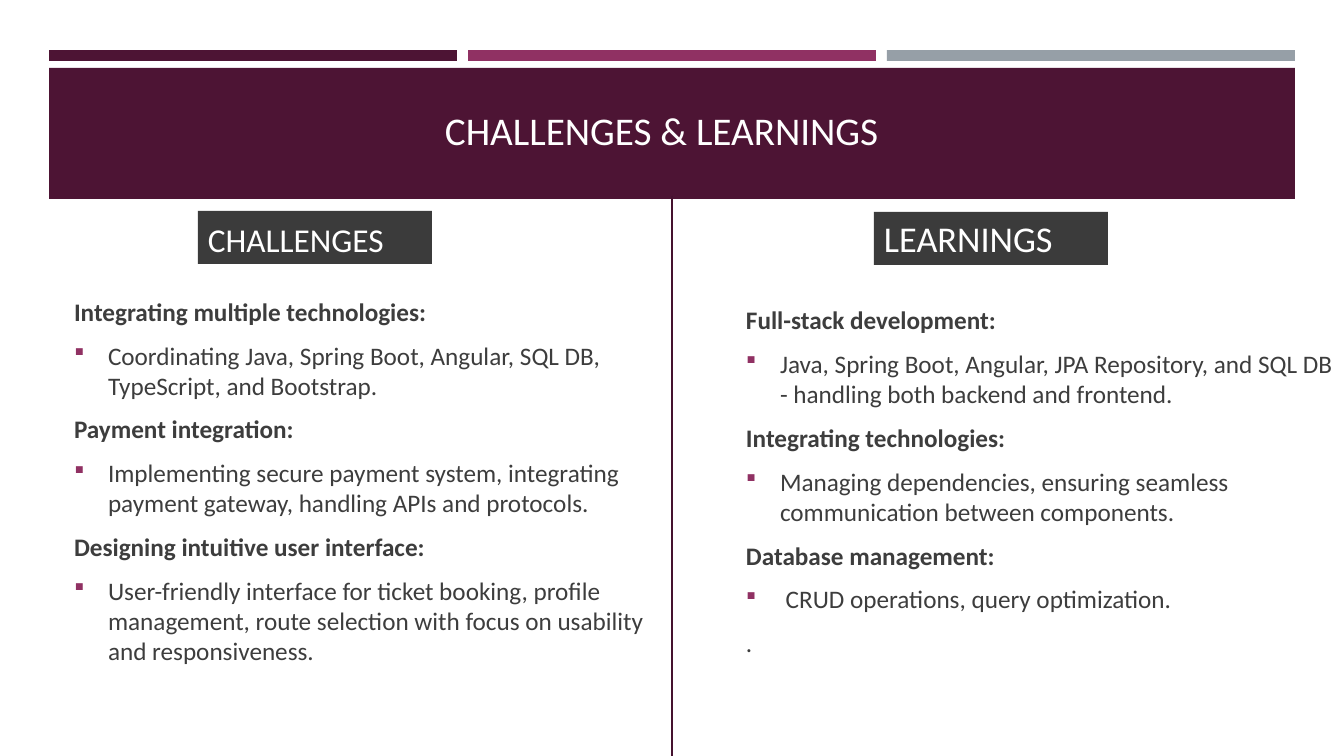
"""Build the Challenges & Learnings slide."""
from lxml import etree
from pptx import Presentation
from pptx.dml.color import RGBColor
from pptx.enum.shapes import MSO_CONNECTOR, MSO_SHAPE
from pptx.enum.text import MSO_ANCHOR, MSO_AUTO_SIZE, PP_ALIGN
from pptx.oxml.ns import qn
from pptx.util import Emu, Pt

RECTANGLE = MSO_SHAPE.RECTANGLE
STRAIGHT = MSO_CONNECTOR.STRAIGHT
MIDDLE, BOTTOM = MSO_ANCHOR.MIDDLE, MSO_ANCHOR.BOTTOM
LEFT = PP_ALIGN.LEFT
NO_AUTOFIT = MSO_AUTO_SIZE.NONE

TITLE = "CHALLENGES & LEARNINGS"
COLUMNS = [
    {
        "heading": "CHALLENGES", "heading_size": 23.8,
        "heading_box": (198, 211, 234, 53), "body_left": 64,
        "points": [
            ("Integrating multiple technologies:",
             "Coordinating Java, Spring Boot, Angular, SQL DB, TypeScript, and Bootstrap."),
            ("Payment integration:",
             "Implementing secure payment system, integrating payment gateway, "
             "handling APIs and protocols."),
            ("Designing intuitive user interface:",
             "User-friendly interface for ticket booking, profile management, "
             "route selection with focus on usability and responsiveness."),
        ],
        "closing": "",
    },
    {
        "heading": "LEARNINGS", "heading_size": 25.9,
        "heading_box": (874, 212, 234, 53), "body_left": 736,
        "points": [
            ("Full-stack development:",
             "Java, Spring Boot, Angular, JPA Repository, and SQL DB "
             "- handling both backend and frontend."),
            ("Integrating technologies:",
             "Managing dependencies, ensuring seamless communication between components."),
            ("Database management:", " CRUD operations, query optimization."),
        ],
        "closing": ".",
    },
]
COLORS = {"plum": "4D1434", "magenta": "903163", "gray": "969FA7", "divider": "45122F",
          "charcoal": "3B3B3B", "text": "3D3D3D", "white": "FFFFFF"}
FONT = "Calibri"

EMU_PER_PX = 914400 / 100.8
SLIDE_SIZE = (1344, 756)
BAR_COLORS = ["plum", "magenta", "gray"]
BAR_LEFT, BAR_TOP, BAR_WIDTH, BAR_HEIGHT, BAR_STEP = 49, 50, 408, 11, 419
BANNER_BOX = (49, 68, 1246, 131)
TITLE_BOX = (435, 46, 555, 112)
BODY_TOP, BODY_WIDTH, BODY_HEIGHT = 251, 608, 460
DIVIDER_X, DIVIDER_TOP = 672, 196
PADDING_X, PADDING_Y, BULLET_INDENT = 10, 5, 34


def px(length):
    """Convert px to EMU."""
    return Emu(round(length * EMU_PER_PX))


def color(name):
    """Look up a named colour."""
    return RGBColor.from_string(COLORS[name])


def add_rectangle(slide, box, fill):
    """Add a plain filled rectangle."""
    shape = slide.shapes.add_shape(RECTANGLE, *map(px, box))
    shape.shadow.inherit = False
    shape.fill.solid()
    shape.fill.fore_color.rgb = color(fill)
    shape.line.fill.background()
    return shape


def prepare_frame(shape, anchor):
    """Set wrapping, margins and anchor of a text frame."""
    frame = shape.text_frame
    frame.word_wrap = True
    frame.auto_size = NO_AUTOFIT
    frame.vertical_anchor = anchor
    frame.margin_left = frame.margin_right = px(PADDING_X)
    frame.margin_top = frame.margin_bottom = px(PADDING_Y)
    return frame


def write(frame, text, size=18, fill="text", bold=False, bullet=False, before=0, after=0):
    """Write one formatted paragraph into a frame."""
    paragraph = frame.paragraphs[0]
    if paragraph.runs:
        paragraph = frame.add_paragraph()
    paragraph.alignment = LEFT
    paragraph.space_before, paragraph.space_after = Pt(before), Pt(after)
    run = paragraph.add_run()
    run.text = text
    run.font.name, run.font.size, run.font.bold = FONT, Pt(size), bold
    run.font.color.rgb = color(fill)
    if bullet:
        add_bullet(paragraph)


def add_bullet(paragraph):
    """Give a paragraph a square bullet and a hanging indent."""
    properties = paragraph._p.get_or_add_pPr()
    properties.set("marL", str(px(BULLET_INDENT)))
    properties.set("indent", str(px(-BULLET_INDENT)))
    bullet_color = etree.SubElement(properties, qn("a:buClr"))
    etree.SubElement(bullet_color, qn("a:srgbClr"), val=COLORS["magenta"])
    etree.SubElement(properties, qn("a:buSzPct"), val="92000")
    etree.SubElement(properties, qn("a:buFont"), typeface="Wingdings", charset="2")
    etree.SubElement(properties, qn("a:buChar"), char="§")


def add_column(slide, column):
    """Add the heading tag and the points of one column."""
    tag = add_rectangle(slide, column["heading_box"], "charcoal")
    write(prepare_frame(tag, BOTTOM), column["heading"],
          size=column["heading_size"], fill="white")
    body_box = (column["body_left"], BODY_TOP, BODY_WIDTH, BODY_HEIGHT)
    body = slide.shapes.add_textbox(*map(px, body_box))
    frame = prepare_frame(body, MIDDLE)
    spacing = {"before": 3.6, "after": 6}
    for topic, detail in column["points"]:
        write(frame, topic, bold=True, **spacing)
        write(frame, detail, bullet=True, **spacing)
    if column["closing"]:
        write(frame, column["closing"], **spacing)


def main():
    """Build and save the slide."""
    presentation = Presentation()
    presentation.slide_width, presentation.slide_height = map(px, SLIDE_SIZE)
    slide = presentation.slides.add_slide(presentation.slide_layouts[5])

    for index, fill in enumerate(BAR_COLORS):
        add_rectangle(slide, (BAR_LEFT + index * BAR_STEP, BAR_TOP, BAR_WIDTH, BAR_HEIGHT), fill)
    add_rectangle(slide, BANNER_BOX, "plum")

    title = slide.shapes.title
    title.left, title.top, title.width, title.height = map(px, TITLE_BOX)
    write(prepare_frame(title, BOTTOM), TITLE, size=28, fill="white")
    title.element.getparent().append(title.element)

    divider = slide.shapes.add_connector(
        STRAIGHT, *map(px, (DIVIDER_X, DIVIDER_TOP, DIVIDER_X, SLIDE_SIZE[1])))
    divider.line.color.rgb = color("divider")
    divider.line.width = Pt(1)
    etree.SubElement(divider.element.spPr, qn("a:effectLst"))

    for column in COLUMNS:
        add_column(slide, column)
    presentation.save("out.pptx")


if __name__ == "__main__":
    main()
